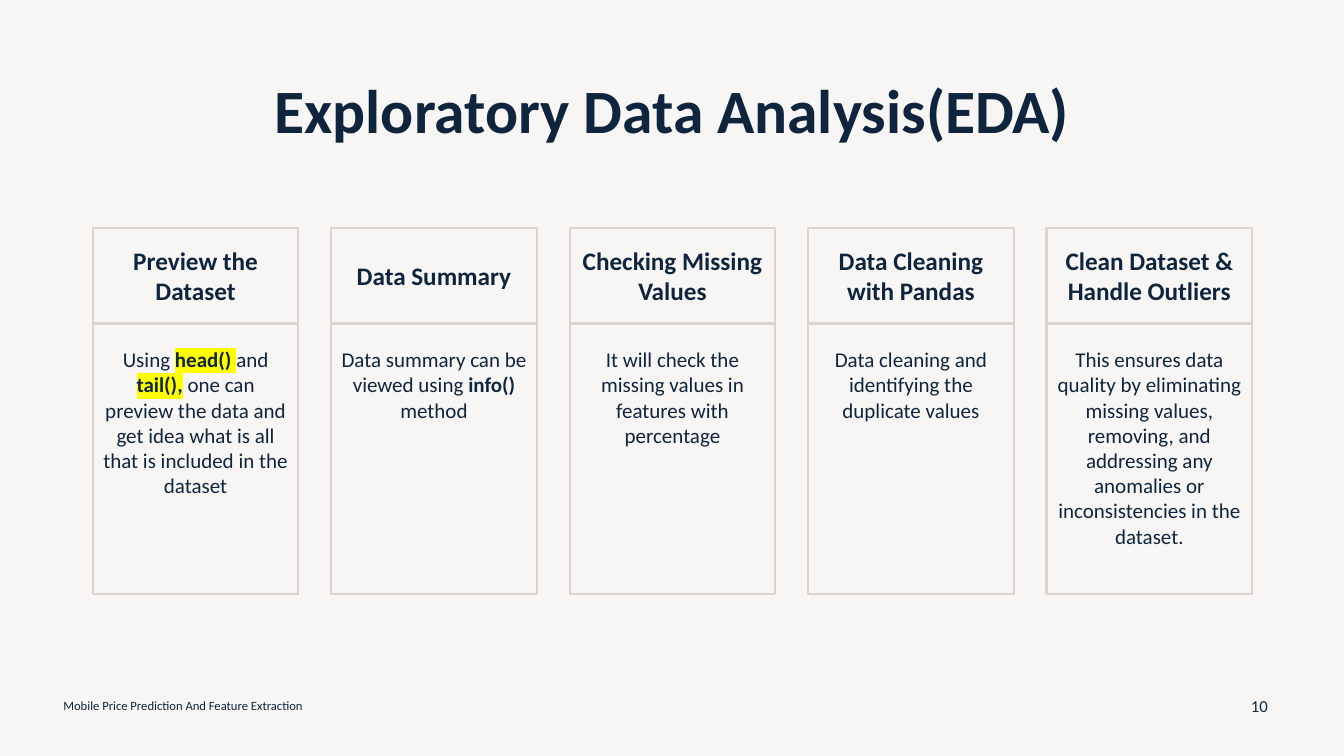
from lxml.etree import SubElement
from pptx import Presentation
from pptx.dml.color import RGBColor
from pptx.enum.shapes import MSO_SHAPE
from pptx.enum.text import MSO_ANCHOR, MSO_AUTO_SIZE, PP_ALIGN
from pptx.oxml.ns import qn
from pptx.util import Inches, Pt

NAVY = RGBColor(0x0F, 0x25, 0x3E)
BEIGE = RGBColor(0xDC, 0xD3, 0xCC)
PALE = RGBColor(0xF8, 0xF6, 0xF5)
YELLOW = "FFFF00"

TITLE = "Exploratory Data Analysis(EDA)"
FOOTER = "Mobile Price Prediction And Feature Extraction"
PAGE_NUMBER = "10"
STEPS = [
    ("Preview the Dataset", [
        ("Using ", "plain"), ("head() ", "marked"), ("and ", "plain"), ("tail(),", "marked"),
        (" one can preview the data and get idea what is all that is included in the dataset", "plain"),
    ]),
    ("Data Summary", [
        ("Data summary can be viewed using ", "plain"), ("info() ", "bold"), ("method", "plain"),
    ]),
    ("Checking Missing Values", [
        ("It will check the missing values in features with percentage", "plain"),
    ]),
    ("Data Cleaning with Pandas", [
        ("Data cleaning and identifying the duplicate values", "plain"),
    ]),
    ("Clean Dataset & Handle Outliers", [
        ("This ensures data quality by eliminating missing values, removing, and addressing "
         "any anomalies or inconsistencies in the dataset.", "plain"),
    ]),
]

LEFT, CARD_WIDTH, CARD_PITCH = 0.92, 2.04, 2.365
HEADER_TOP, HEADER_HEIGHT = 2.26, 0.95
BODY_TOP, BODY_HEIGHT = 3.2, 2.69


def write(shape, runs, size, align=PP_ALIGN.CENTER, anchor=MSO_ANCHOR.MIDDLE, top_inset=0.05):
    frame = shape.text_frame
    frame_format = {
        "word_wrap": True, "auto_size": MSO_AUTO_SIZE.NONE, "vertical_anchor": anchor,
        "margin_left": Inches(0.1), "margin_right": Inches(0.1),
        "margin_top": Inches(top_inset), "margin_bottom": Inches(0.05),
    }
    for name, value in frame_format.items():
        setattr(frame, name, value)
    paragraph = frame.paragraphs[0]
    paragraph.alignment = align
    for text, style in runs:
        run = paragraph.add_run()
        run.text = text
        font_format = {"name": "Calibri", "size": Pt(size), "bold": style != "plain"}
        for name, value in font_format.items():
            setattr(run.font, name, value)
        run.font.color.rgb = NAVY
        if style == "marked":
            properties = run.font._element
            highlight = SubElement(properties, qn("a:highlight"))
            SubElement(highlight, qn("a:srgbClr"), val=YELLOW)
            properties.find(qn("a:solidFill")).addnext(highlight)
    return paragraph


def add_box(slide, left, top, height):
    shape = slide.shapes.add_shape(
        MSO_SHAPE.RECTANGLE, Inches(left), Inches(top), Inches(CARD_WIDTH), Inches(height))
    shape.shadow.inherit = False
    shape.fill.background()
    shape.line.color.rgb = BEIGE
    shape.line.width = Pt(1.5)
    return shape


def add_label(slide, left, width, text, size, align):
    label = slide.shapes.add_textbox(Inches(left), Inches(6.8), Inches(width), Inches(0.4))
    write(label, [(text, "plain")], size, align)


def main():
    presentation = Presentation()
    presentation.slide_width = Inches(13.33)
    presentation.slide_height = Inches(7.5)
    slide = presentation.slides.add_slide(presentation.slide_layouts[5])
    slide.background.fill.solid()
    slide.background.fill.fore_color.rgb = PALE

    title = slide.shapes.title
    title_place = {"left": 0.92, "top": 0.4, "width": 11.5, "height": 1.45}
    for name, value in title_place.items():
        setattr(title, name, Inches(value))
    write(title, [(TITLE, "bold")], 44).line_spacing = 0.9

    for index, (heading, description) in enumerate(STEPS):
        left = LEFT + index * CARD_PITCH
        header = add_box(slide, left, HEADER_TOP, HEADER_HEIGHT)
        write(header, [(heading, "bold")], 18)
        body = add_box(slide, left, BODY_TOP, BODY_HEIGHT)
        write(body, description, 15, anchor=MSO_ANCHOR.TOP, top_inset=0.24)

    add_label(slide, 0.53, 4.5, FOOTER, 9, PP_ALIGN.LEFT)
    add_label(slide, 12.24, 0.5, PAGE_NUMBER, 12, PP_ALIGN.CENTER)
    presentation.save("out.pptx")


if __name__ == "__main__":
    main()
